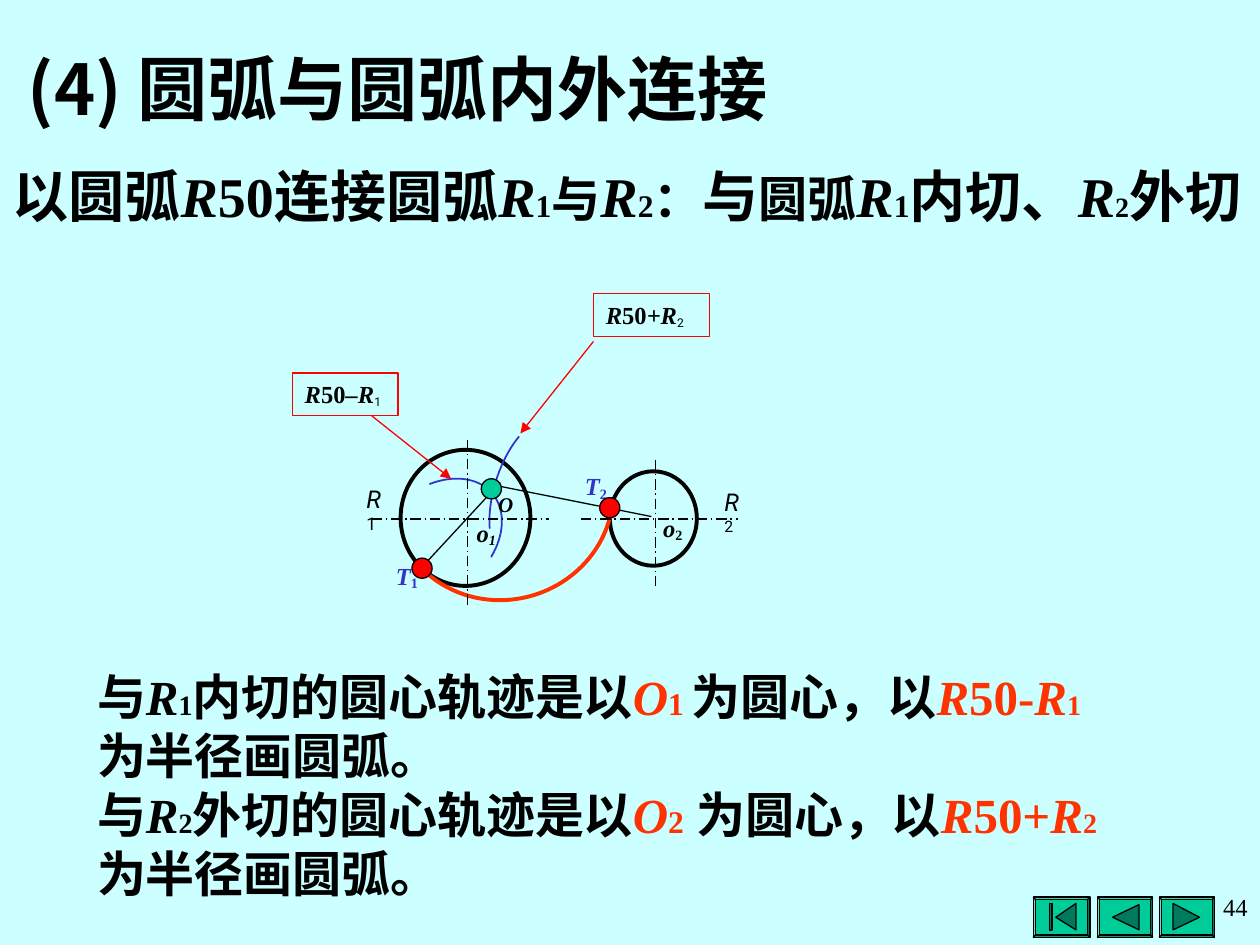
"""Build the slide on joining two arcs by inner and outer tangency."""
from lxml import etree
from pptx import Presentation, util as u
from pptx.dml.color import RGBColor
from pptx.enum import dml, shapes, text
from pptx.oxml import ns

SKY = RGBColor(0xCC, 0xFF, 0xFF)
BLACK = RGBColor(0, 0, 0)
RED = RGBColor(0xFF, 0, 0)
FLAME = RGBColor(0xFF, 0x33, 0)
BLUE = RGBColor(0x33, 0x33, 0xCC)
GREEN = RGBColor(0, 0xCC, 0x99)
PINE = RGBColor(0, 0x7A, 0x5C)
SERIF, SANS, HAN = "Times New Roman", "Roboto", "Noto Sans CJK SC"
KIND = shapes.MSO_SHAPE
LEFT, MID, RIGHT = text.PP_ALIGN.LEFT, text.PP_ALIGN.CENTER, text.PP_ALIGN.RIGHT
IT = {"slant": True}
HOT = {"ink": FLAME}
HOTIT = {"ink": FLAME, "slant": True}


def put(para, word, size=14, font=SERIF, ink=BLACK, bold=True, slant=False, sub=False):
    run = para.add_run()
    run.text = word
    face = run.font
    face.size, face.bold, face.italic = u.Pt(size), bold, slant
    face.color.rgb = ink
    face.name = font
    props = run._r.get_or_add_rPr()
    etree.SubElement(props, ns.qn("a:ea")).set("typeface", HAN)
    if sub:
        props.set("baseline", "-14000")


def style(shape, ink, width=0.75, fill=None):
    shape.shadow.inherit = False
    shape.line.color.rgb = ink
    shape.line.width = u.Pt(width)
    if fill is None:
        shape.fill.background()
    else:
        shape.fill.solid()
        shape.fill.fore_color.rgb = fill
    return shape


deck = Presentation()
deck.slide_width, deck.slide_height = u.Inches(10), u.Inches(7.5)
slide = deck.slides.add_slide(deck.slide_layouts[1])
slide.background.fill.solid()
slide.background.fill.fore_color.rgb = SKY
pool = slide.shapes

title, body = pool.title, slide.placeholders[1]
lead = pool.add_textbox(0, 0, 0, 0)
blocks = [
    (title, (0.12, 0.31, 8.58, 0.77), [
        [("(4) ", 40, {"font": HAN}), ("圆弧与圆弧内外连接", 40, {})]]),
    (lead, (0, 1.23, 10, 1.17), [
        [("以圆弧", 32, {}), ("R", 32, IT), ("50连接圆弧", 32, {}),
         ("R", 32, IT), ("1", 18, {}), ("与", 28, {}),
         ("R", 32, IT), ("2", 18, {}), ("：", 28, {"font": HAN}),
         ("与", 32, {"font": HAN}), ("圆弧", 28, {}),
         ("R", 32, IT), ("1", 18, {}), ("内切、", 32, {}),
         ("R", 32, IT), ("2", 16, {}), ("外切", 32, {})]]),
    (body, (0.67, 5.24, 8.19, 1.97), [
        [("与", 28, {}), ("R", 28, IT), (num, 16, {}),
         (verb + "切的圆心轨迹是以", 28, {}), ("O", 28, HOTIT), (mark, 18, HOT),
         (rest, 28, {}), ("R", 28, HOTIT), ("50" + sign, 28, HOT),
         ("R", 28, HOTIT), (num, 16, HOT), ("为半径画圆弧。", 28, {})]
        for num, verb, mark, rest, sign in [
            ("1", "内", "1 ", "为圆心，以", "-"),
            ("2", "外", "2", " 为圆心，以", "+")]]),
]
for box, area, rows in blocks:
    box.left, box.top, box.width, box.height = map(u.Inches, area)
    frame = box.text_frame
    frame.word_wrap = True
    frame.auto_size = text.MSO_AUTO_SIZE.NONE
    frame.vertical_anchor = text.MSO_ANCHOR.TOP
    for i, row in enumerate(rows):
        para = frame.add_paragraph() if i else frame.paragraphs[0]
        props = para._p.get_or_add_pPr()
        props.set("marL", "0")
        props.set("indent", "0")
        etree.SubElement(props, ns.qn("a:buNone"))
        para.alignment, para.space_before = LEFT, u.Pt(0)
        for word, size, form in row:
            put(para, word, size, **form)

for area in [(3.18, 3.57, 1.03, 1.08), (4.84, 3.74, 0.69, 0.75)]:
    style(pool.add_shape(KIND.OVAL, *map(u.Inches, area)), BLACK, 2.25)

arcs = [
    ((3.11, 3.09, 1.76, 1.67), 164.3, 124.64, FLAME, 2.25),
    ((3.04, 3.71, 0.84, 1.17), 49.8, 128.44, BLUE, 1),
    ((3.62, 3.6, 1.21, 0.6), 287.7, 126.91, BLUE, 1),
]
for area, turn, start, ink, width in arcs:
    arc = style(pool.add_shape(KIND.BLOCK_ARC, *map(u.Inches, area)), ink, width)
    arc.rotation = turn
    for i, value in enumerate((start, 324 - start, 0)):
        arc.adjustments[i] = value

AXIS, RAY, ARROW = "axis", "ray", "arrow"
lines = [
    (AXIS, 3.71, 3.49, 3.71, 4.82), (AXIS, 2.95, 4.12, 4.36, 4.12),
    (AXIS, 4.61, 4.12, 5.86, 4.12), (AXIS, 5.2, 3.65, 5.2, 4.65),
    (RAY, 3.97, 3.83, 3.35, 4.5), (RAY, 3.92, 3.85, 5.17, 4.1),
    (ARROW, 4.71, 2.71, 4.13, 3.44), (ARROW, 2.95, 3.3, 3.58, 3.8),
]
for kind, *ends in lines:
    line = pool.add_connector(shapes.MSO_CONNECTOR.STRAIGHT, *map(u.Inches, ends))
    line.line.color.rgb = RED if kind == ARROW else BLACK
    line.line.width = u.Pt(0.75)
    if kind == AXIS:
        line.line.dash_style = dml.MSO_LINE.LONG_DASH_DOT
    if kind == ARROW:
        stroke = line.line._get_or_add_ln()
        etree.SubElement(stroke, ns.qn("a:tailEnd")).set("type", "triangle")
    etree.SubElement(line._element.spPr, ns.qn("a:effectLst"))

SUB = {"sub": True}
TINT = {"slant": True, "ink": BLUE}
PLAIN = {"font": SANS, "bold": False}
labels = [
    ((2.98, 4.4, 0.5, 0.35), MID, [("T", 14, TINT), ("1", 14, {"sub": True, "ink": BLUE})]),
    ((4.48, 3.69, 0.5, 0.35), MID, [("T", 14, TINT), ("2", 14, {"sub": True, "ink": BLUE})]),
    ((3.65, 4.06, 0.42, 0.35), MID, [("o", 14, IT), ("1", 14, {**IT, **SUB})]),
    ((5.05, 4.02, 0.58, 0.35), MID, [("o", 14, IT), ("2", 14, SUB)]),
    ((3.85, 3.85, 0.33, 0.3), MID, [("O", 12, IT)]),
    ((5.65, 3.82, 0.38, 0.34), LEFT, [("R", 14, {**PLAIN, **IT}), ("2", 9, PLAIN)]),
    ((2.81, 3.79, 0.39, 0.34), LEFT, [("R", 14, {**PLAIN, **IT}), ("1", 10, PLAIN)]),
    ((7.48, 7.03, 2.52, 0.61), RIGHT, [("44", 14, {"bold": False})]),
]
notes = [
    ((4.71, 2.33, 0.92, 0.34), "+R", "2"),
    ((2.32, 2.96, 0.84, 0.34), "–R", "1"),
]
labels += [(area, None, [("R", 14, IT), ("50", 14, {}), (term, 14, IT),
                         (num, 12, {**PLAIN, **SUB})]) for area, term, num in notes]
for area, side, row in labels:
    place = list(map(u.Inches, area))
    if side is None:
        box = style(pool.add_shape(KIND.RECTANGLE, *place), RED)
    else:
        box = pool.add_textbox(*place)
    frame = box.text_frame
    frame.word_wrap = True
    frame.vertical_anchor = text.MSO_ANCHOR.TOP
    para = frame.paragraphs[0]
    para.alignment = side or LEFT
    for word, size, form in row:
        put(para, word, size, **form)

for x, y, fill in [(3.82, 3.8, GREEN), (3.27, 4.43, RED), (4.76, 3.95, RED)]:
    dot = pool.add_shape(KIND.OVAL, *map(u.Inches, (x, y, 0.16, 0.16)))
    style(dot, BLACK, fill=fill)

keys = [
    (8.2, 0.45, [[(8.38, 7.28), (8.54, 7.17), (8.54, 7.38)],
                 [(8.33, 7.17), (8.35, 7.17), (8.35, 7.38), (8.33, 7.38)]]),
    (8.71, 0.44, [[(8.83, 7.28), (9.04, 7.18), (9.04, 7.38)]]),
    (9.2, 0.44, [[(9.31, 7.17), (9.52, 7.28), (9.31, 7.38)]]),
]
for x, width, signs in keys:
    key = pool.add_shape(KIND.BEVEL, *map(u.Inches, (x, 7.12, width, 0.32)))
    style(key, BLACK, fill=GREEN).adjustments[0] = 0.06
    for points in signs:
        first, *rest = [tuple(map(u.Inches, point)) for point in points]
        pen = pool.build_freeform(*first)
        pen.add_line_segments(rest, close=True)
        style(pen.convert_to_shape(), BLACK, fill=PINE)

deck.save("out.pptx")
